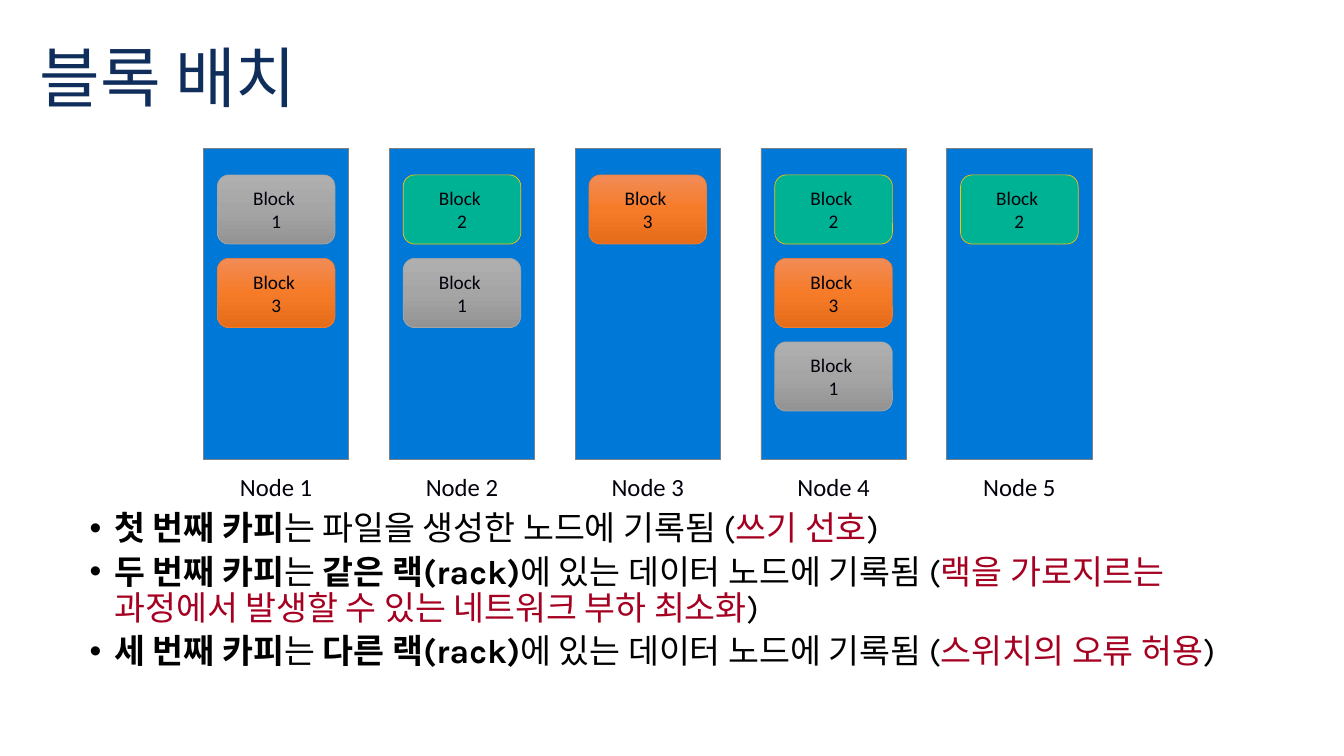
"""Build the block placement slide."""
from copy import deepcopy
from dataclasses import dataclass

from lxml.etree import SubElement
from pptx import Presentation
from pptx.dml.color import RGBColor
from pptx.enum.shapes import MSO_SHAPE as Preset
from pptx.enum.text import MSO_ANCHOR as Anchor, MSO_AUTO_SIZE as AutoSize, PP_ALIGN as Align
from pptx.oxml.ns import qn
from pptx.util import Inches, Pt

COLUMNS, ROWS = 136, 76.5
UNIT = Inches(0.1)

NAVY = RGBColor(0x10, 0x2E, 0x5B)
INK = RGBColor(0x01, 0x02, 0x0B)
BLACK = RGBColor(0x00, 0x00, 0x00)
RED = RGBColor(0xA5, 0x00, 0x21)
BLUE = RGBColor(0x00, 0x78, 0xD7)
GRAY = RGBColor(0x80, 0x80, 0x80)
SILVER = RGBColor(0xA5, 0xA5, 0xA5)
SILVER_LIGHT = RGBColor(0xAF, 0xAF, 0xAF)
SILVER_DARK = RGBColor(0x93, 0x93, 0x93)
ORANGE = RGBColor(0xF6, 0x7B, 0x28)
ORANGE_LIGHT = RGBColor(0xF1, 0x8C, 0x57)
ORANGE_DARK = RGBColor(0xE5, 0x6C, 0x19)
ORANGE_EDGE = RGBColor(0xED, 0x7D, 0x31)
GREEN = RGBColor(0x00, 0xB2, 0x94)
GOLD = RGBColor(0xFF, 0xC0, 0x00)

NODE_LEFT, NODE_TOP, NODE_PITCH = 20.6, 15, 18.8
NODE_WIDTH, NODE_HEIGHT = 14.7, 31.5
BLOCK_TOP, BLOCK_PITCH = 17.7, 8.45
BLOCK_WIDTH, BLOCK_HEIGHT = 11.9, 7
LABEL_TOP, LABEL_WIDTH, LABEL_HEIGHT = 47.3, 11, 4


@dataclass(frozen=True)
class Area:
    """A place on the grid, in columns and rows."""
    column: float
    row: float
    columns: float
    rows: float

    def lengths(self) -> tuple:
        """Return left, top, width and height."""
        return tuple(round(n * UNIT) for n in (self.column, self.row, self.columns, self.rows))


@dataclass(frozen=True)
class BlockStyle:
    """Fill colours from top to bottom, and the edge colour."""
    fills: tuple
    edge: RGBColor


@dataclass(frozen=True)
class Span:
    """A stretch of text in one format."""
    text: str
    bold: bool = False
    color: RGBColor = BLACK


BLOCK_STYLES = {
    1: BlockStyle((SILVER_LIGHT, SILVER, SILVER_DARK), SILVER),
    2: BlockStyle((GREEN,), GOLD),
    3: BlockStyle((ORANGE_LIGHT, ORANGE, ORANGE_DARK), ORANGE_EDGE),
}
NODE_BLOCKS = ((1, 3), (2, 1), (3,), (2, 3, 1), (2,))
RECORDED = "에 있는 데이터 노드에 기록됨 ("
RULES = (
    (Span("첫 번째 카피", True), Span("는 파일을 생성한 노드에 기록됨 ("),
     Span("쓰기 선호", color=RED), Span(")")),
    (Span("두 번째 카피", True), Span("는 "), Span("같은 랙(rack)", True), Span(RECORDED),
     Span("랙을 가로지르는 과정에서 발생할 수 있는 네트워크 부하 최소화", color=RED), Span(")")),
    (Span("세 번째 카피", True), Span("는 "), Span("다른 랙(rack)", True), Span(RECORDED),
     Span("스위치의 오류 허용", color=RED), Span(")")),
)


def write(para, text: str, *, size: float, color: RGBColor, font: str = "Calibri",
          bold: bool = False, align: Align = Align.CENTER) -> None:
    """Add formatted text to a paragraph."""
    para.alignment = align
    span = para.add_run()
    span.text = text
    span.font.size = Pt(size)
    span.font.name = font
    span.font.bold = bold
    span.font.color.rgb = color


def paint(shape, fills: tuple, edge: RGBColor) -> None:
    """Fill a shape with one colour or a downward three-colour gradient."""
    shape.shadow.inherit = False
    shape.line.color.rgb = edge
    shape.line.width = Pt(0.5)
    if len(fills) == 1:
        shape.fill.solid()
        shape.fill.fore_color.rgb = fills[0]
        return
    shape.fill.gradient()
    shape.fill.gradient_angle = 270
    stop_list = shape._element.spPr.find(qn("a:gradFill")).find(qn("a:gsLst"))
    stop_list.insert(1, deepcopy(stop_list[0]))
    for index, (stop, color) in enumerate(zip(shape.fill.gradient_stops, fills)):
        stop.position = index / (len(fills) - 1)
        stop.color.rgb = color


def draw_title(page) -> None:
    """Place and format the title."""
    title = page.shapes.title
    title.left, title.top, title.width, title.height = Area(3, 3.2, 130, 10).lengths()
    frame = title.text_frame
    frame.vertical_anchor = Anchor.MIDDLE
    frame.auto_size = AutoSize.NONE
    para = frame.paragraphs[0]
    para.line_spacing = 0.9
    write(para, "블록 배치", size=48, color=NAVY, font="Karla", align=Align.LEFT)


def draw_rules(page) -> None:
    """Write the bulleted placement rules."""
    box = page.shapes.add_textbox(*Area(3, 51.3, 127.4, 17.2).lengths())
    frame = box.text_frame
    frame.word_wrap = True
    for index, spans in enumerate(RULES):
        para = frame.add_paragraph() if index else frame.paragraphs[0]
        para.level = 1
        para.line_spacing = 0.9
        para.space_before = Pt(5.1)
        for span in spans:
            write(para, span.text, size=24.5, color=span.color, font="Karla",
                  bold=span.bold, align=Align.LEFT)
        properties = para._p.get_or_add_pPr()
        properties.set("marL", str(Inches(0.76)))
        properties.set("indent", str(Inches(-0.25)))
        SubElement(properties, qn("a:buFont")).set("typeface", "Arial")
        SubElement(properties, qn("a:buChar")).set("char", "•")


def draw_block(page, area: Area, number: int) -> None:
    """Draw one numbered block."""
    block = page.shapes.add_shape(Preset.ROUNDED_RECTANGLE, *area.lengths())
    style = BLOCK_STYLES[number]
    paint(block, style.fills, style.edge)
    frame = block.text_frame
    frame.word_wrap = False
    frame.vertical_anchor = Anchor.MIDDLE
    write(frame.paragraphs[0], "Block ", size=14, color=INK)
    write(frame.add_paragraph(), str(number), size=14, color=INK)


def draw_node(page, index: int, numbers: tuple) -> None:
    """Draw a node with its label and its stack of blocks."""
    left = NODE_LEFT + index * NODE_PITCH
    middle = left + NODE_WIDTH / 2
    node = page.shapes.add_shape(
        Preset.RECTANGLE, *Area(left, NODE_TOP, NODE_WIDTH, NODE_HEIGHT).lengths())
    paint(node, (BLUE,), GRAY)
    label_area = Area(middle - LABEL_WIDTH / 2, LABEL_TOP, LABEL_WIDTH, LABEL_HEIGHT)
    label = page.shapes.add_textbox(*label_area.lengths())
    label.text_frame.word_wrap = False
    label.text_frame.auto_size = AutoSize.SHAPE_TO_FIT_TEXT
    write(label.text_frame.paragraphs[0], f"Node {index + 1}", size=18, color=INK)
    for level, number in enumerate(numbers):
        draw_block(page, Area(middle - BLOCK_WIDTH / 2, BLOCK_TOP + level * BLOCK_PITCH,
                              BLOCK_WIDTH, BLOCK_HEIGHT), number)


def main() -> None:
    """Build and save the deck."""
    deck = Presentation()
    deck.slide_width, deck.slide_height = Area(0, 0, COLUMNS, ROWS).lengths()[2:]
    page = deck.slides.add_slide(deck.slide_layouts.get_by_name("Title Only"))
    draw_title(page)
    draw_rules(page)
    for index, numbers in enumerate(NODE_BLOCKS):
        draw_node(page, index, numbers)
    deck.save("out.pptx")


if __name__ == "__main__":
    main()
